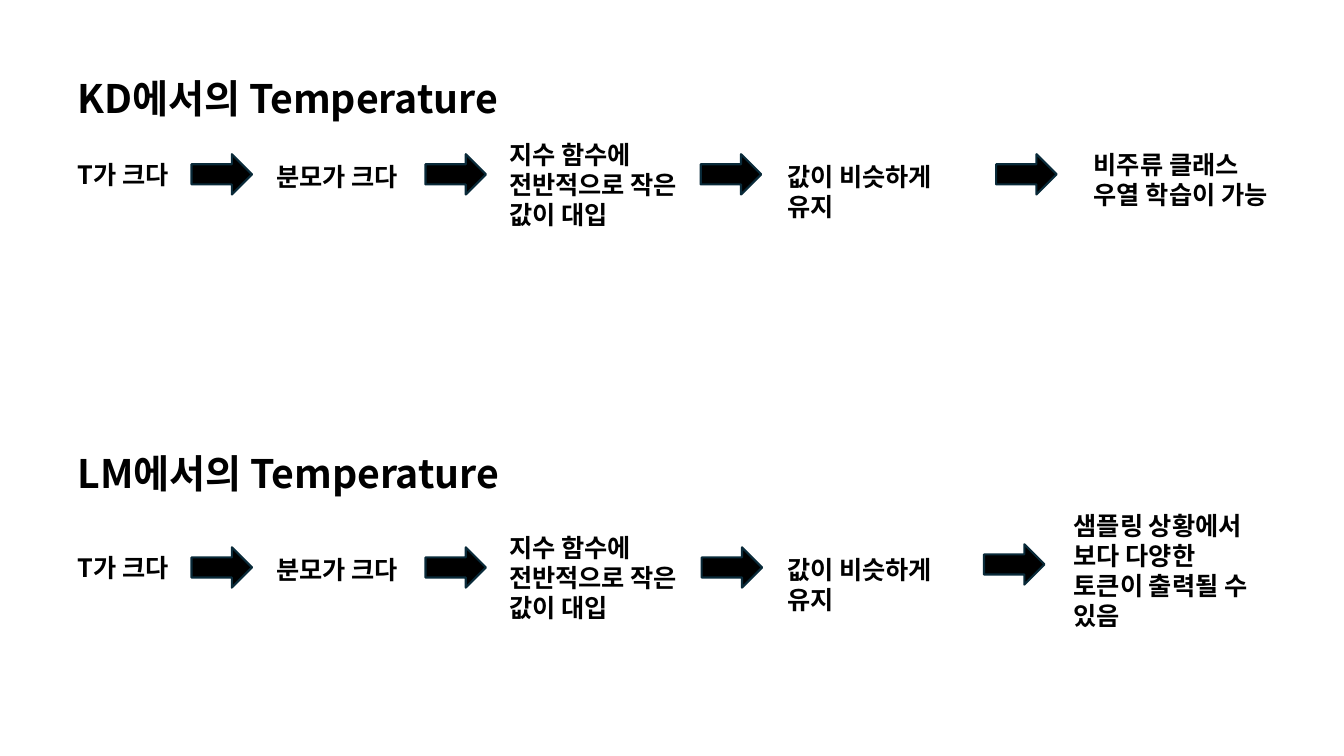
"""Build a slide comparing the role of temperature in KD and in LM."""
import pptx
import pptx.dml.color
import pptx.enum.shapes
import pptx.enum.text
import pptx.oxml
import pptx.oxml.ns
import pptx.util

Inches = pptx.util.Inches
Pt = pptx.util.Pt
BLACK = pptx.dml.color.RGBColor(0x00, 0x00, 0x00)
ARROW_EDGE = pptx.dml.color.RGBColor(0x09, 0x2A, 0x39)
FONT = "Noto Sans CJK KR"

STEP_WIDTH = 2.05
ARROW_WIDTH, ARROW_HEIGHT = 0.6, 0.4
TITLE_HEIGHT = 0.57

SHARED_STEPS = [
    ("T가 크다", 0.67, 0, 0.4),
    ("분모가 크다", 2.64, 0.02, 0.4),
    ("지수 함수에 전반적으로 작은 값이 대입", 4.95, -0.2, 1.01),
    ("값이 비슷하게 유지", 7.71, 0.02, 0.71),
]
SHARED_ARROWS = [(1.9, 0), (4.22, 0)]

FLOWS = [
    {
        "title": ("KD에서의 Temperature", 0.69, 5.03),
        "top": 1.53,
        "outcome": ("비주류 클래스 우열 학습이 가능", 10.75, -0.1, 1.01),
        "arrows": [(6.95, 0), (9.88, 0)],
    },
    {
        "title": ("LM에서의 Temperature", 4.41, 4.53),
        "top": 5.43,
        "outcome": ("샘플링 상황에서 보다 다양한 토큰이 출력될 수 있음", 10.55, -0.42, 1.31),
        "arrows": [(6.96, 0), (9.76, -0.03)],
    },
]


def add_text(shapes, text, left, top, width, height, size):
    box = shapes.add_textbox(Inches(left), Inches(top), Inches(width), Inches(height))
    frame = box.text_frame
    frame.word_wrap = True
    frame.auto_size = pptx.enum.text.MSO_AUTO_SIZE.SHAPE_TO_FIT_TEXT
    para = frame.paragraphs[0]
    para.text = text
    para.line_spacing = Pt(size * 1.2)
    font = para.font
    font.name = FONT
    font.size = Pt(size)
    font.bold = True
    font.color.rgb = BLACK
    for span in para.runs:
        properties = span._r.get_or_add_rPr()
        east_asian = pptx.oxml.parse_xml(
            f'<a:ea {pptx.oxml.ns.nsdecls("a")} typeface="{FONT}"/>'
        )
        properties.append(east_asian)


def add_arrow(shapes, left, top):
    arrow = shapes.add_shape(
        pptx.enum.shapes.MSO_SHAPE.RIGHT_ARROW,
        Inches(left), Inches(top), Inches(ARROW_WIDTH), Inches(ARROW_HEIGHT),
    )
    arrow.shadow.inherit = False
    arrow.fill.solid()
    arrow.fill.fore_color.rgb = BLACK
    arrow.line.color.rgb = ARROW_EDGE
    arrow.line.width = Pt(1.5)


def main():
    deck = pptx.Presentation()
    deck.slide_width = Inches(13.33)
    deck.slide_height = Inches(7.5)
    page = deck.slides.add_slide(deck.slide_layouts[6])

    for flow in FLOWS:
        row = page.shapes.add_group_shape().shapes
        for text, left, offset, height in SHARED_STEPS + [flow["outcome"]]:
            add_text(row, text, left, flow["top"] + offset, STEP_WIDTH, height, 18)
        for left, offset in SHARED_ARROWS + flow["arrows"]:
            add_arrow(row, left, flow["top"] + offset)

    for flow in FLOWS:
        text, top, width = flow["title"]
        add_text(page.shapes, text, 0.67, top, width, TITLE_HEIGHT, 28)

    deck.save("out.pptx")


if __name__ == "__main__":
    main()
